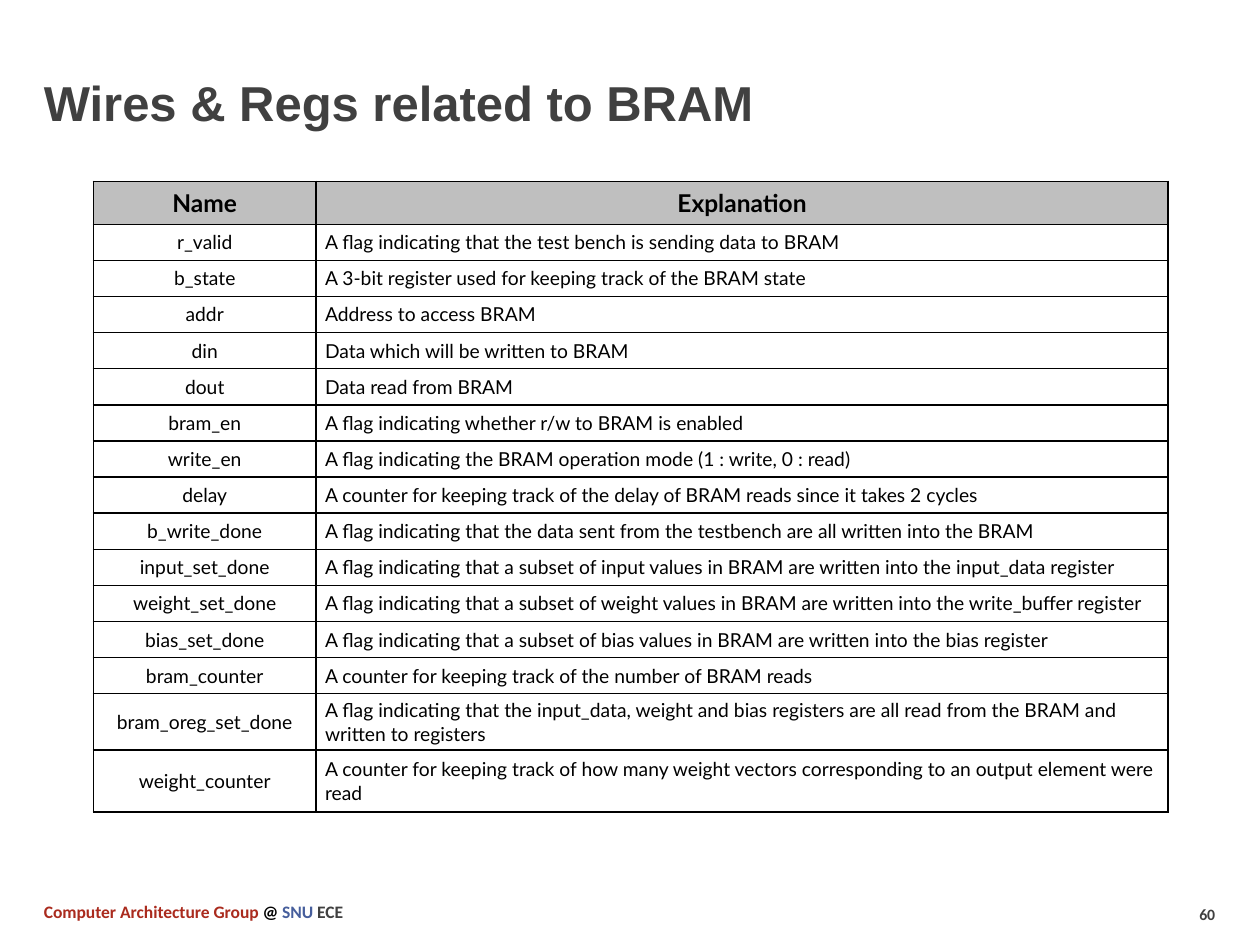
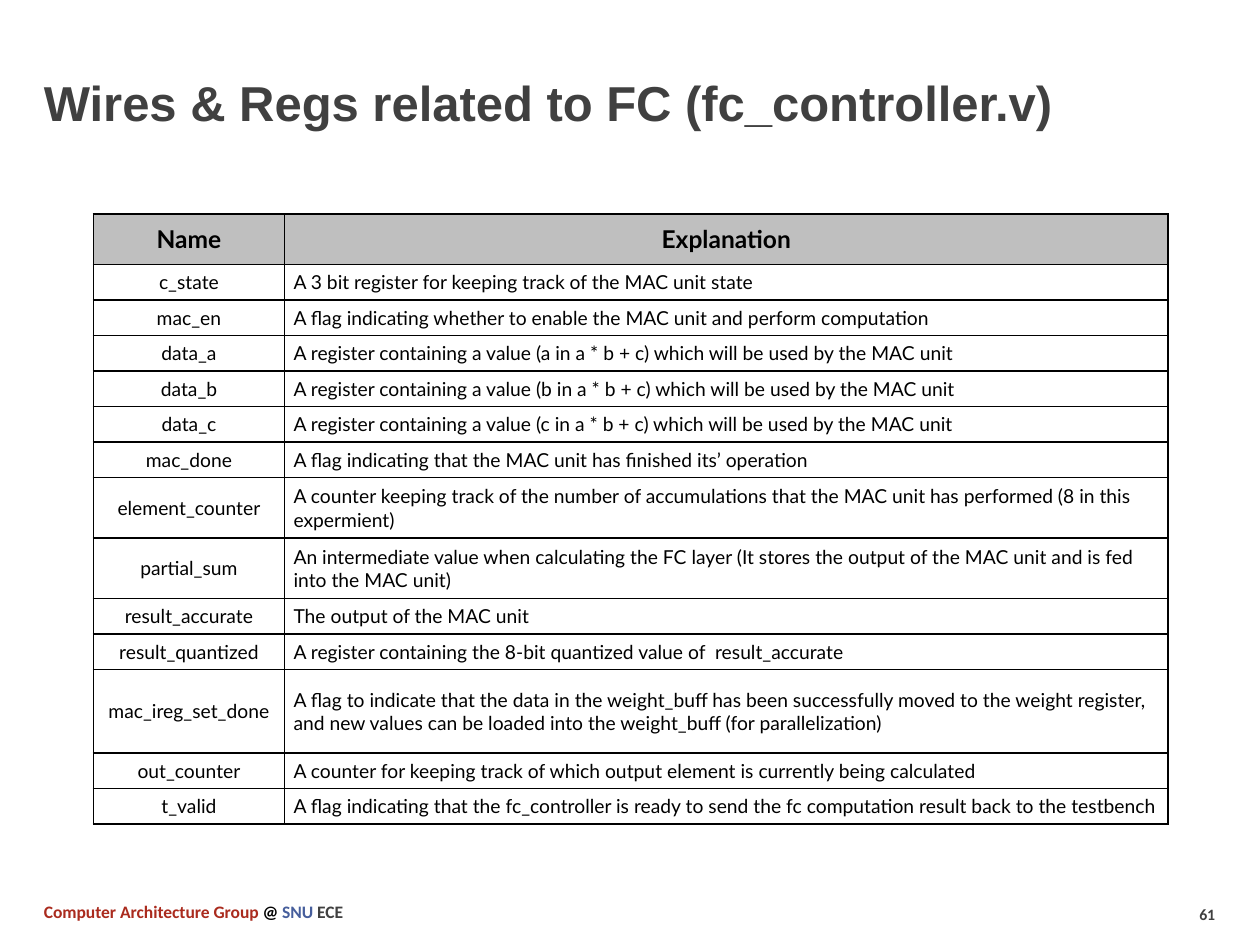
"""Builds two slides that list the wires and registers of the BRAM and FC controllers."""
from lxml.etree import SubElement
from pptx import Presentation
from pptx.dml.color import RGBColor as Rgb
from pptx.enum.text import MSO_ANCHOR as Anchor, PP_ALIGN as Align
from pptx.oxml.ns import qn
from pptx.util import Inches, Pt

COLORS = {
    "text": "404040",
    "black": "000000",
    "group": "AA2B1E",
    "school": "465E9C",
    "header": "BFBFBF",
}
FOOTER = [
    ("Computer Architecture Group ", "group"),
    ("@ ", "black"),
    ("SNU ", "school"),
    ("ECE", "text"),
]
TABLE_LEFT, TABLE_WIDTH = 0.74, 8.53

BRAM_ROWS = [
    ("Name", "Explanation"),
    ("r_valid", "A flag indicating that the test bench is sending data to BRAM"),
    ("b_state", "A 3-bit register used for keeping track of the BRAM state"),
    ("addr", "Address to access BRAM"),
    ("din", "Data which will be written to BRAM"),
    ("dout", "Data read from BRAM"),
    ("bram_en", "A flag indicating whether r/w to BRAM is enabled"),
    ("write_en", "A flag indicating the BRAM operation mode (1 : write, 0 : read)"),
    ("delay", "A counter for keeping track of the delay of BRAM reads since it takes 2 cycles"),
    ("b_write_done", "A flag indicating that the data sent from the testbench are all written into the BRAM"),
    ("input_set_done", "A flag indicating that a subset of input values in BRAM are written into the "
                       "input_data register"),
    ("weight_set_done", "A flag indicating that a subset of weight values in BRAM are written into the "
                        "write_buffer register"),
    ("bias_set_done", "A flag indicating that a subset of bias values in BRAM are written into the bias register"),
    ("bram_counter", "A counter for keeping track of the number of BRAM reads"),
    ("bram_oreg_set_done", "A flag indicating that the input_data, weight and bias registers are all read from "
                           "the BRAM and written to registers"),
    ("weight_counter", "A counter for keeping track of how many weight vectors corresponding to an output "
                       "element were read"),
]
FC_ROWS = [
    ("Name", "Explanation"),
    ("c_state", "A 3 bit register for keeping track of the MAC unit state"),
    ("mac_en", "A flag indicating whether to enable the MAC unit and perform computation"),
    *[(f"data_{letter}", f"A register containing a value ({letter} in a * b + c) which will be used by the MAC unit")
      for letter in "abc"],
    ("mac_done", "A flag indicating that the MAC unit has finished its’ operation"),
    ("element_counter", "A counter keeping track of the number of accumulations that the MAC unit has performed "
                        "(8 in this expermient)"),
    ("partial_sum", "An intermediate value when calculating the FC layer (It stores the output of the MAC unit "
                    "and is fed into the MAC unit)"),
    ("result_accurate", "The output of the MAC unit"),
    ("result_quantized", "A register containing the 8-bit quantized value of  result_accurate"),
    ("mac_ireg_set_done", "A flag to indicate that the data in the weight_buff has been successfully moved to the "
                          "weight register, and new values can be loaded into the weight_buff (for parallelization)"),
    ("out_counter", "A counter for keeping track of which output element is currently being calculated"),
    ("t_valid", "A flag indicating that the fc_controller is ready to send the fc computation result back to the "
                "testbench"),
]
PAGES = [
    {"number": "60", "title": "Wires & Regs related to BRAM", "rows": BRAM_ROWS, "top": 1.44,
     "height": 5, "name_width": 1.77, "fixed_heights": {0: 0.34, 14: 0.44, 15: 0.49}},
    {"number": "61", "title": "Wires & Regs related to FC (fc_controller.v)", "rows": FC_ROWS, "top": 1.7,
     "height": 4.84, "name_width": 1.52, "fixed_heights": {0: 0.4, 7: 0.48, 8: 0.48, 11: 0.66}},
]


def add_span(para, text, size, font, color, bold=True):
    span = para.add_run()
    span.text = text
    span.font.size = Pt(size)
    span.font.name = font
    span.font.bold = bold
    span.font.color.rgb = Rgb.from_string(COLORS[color])


def add_box(page, left, top, width, height, anchor=Anchor.TOP):
    box = page.shapes.add_textbox(Inches(left), Inches(top), Inches(width), Inches(height))
    box.text_frame.word_wrap = True
    box.text_frame.vertical_anchor = anchor
    return box.text_frame.paragraphs[0]


deck = Presentation()
deck.slide_width, deck.slide_height = Inches(10), Inches(7.5)

for content in PAGES:
    page = deck.slides.add_slide(deck.slide_layouts[6])
    add_span(add_box(page, 9.42, 7.13, 0.67, 0.25), content["number"], 9, "Calibri", "text")
    footer = add_box(page, 0.25, 7.1, 5.04, 0.27)
    for text, color in FOOTER:
        add_span(footer, text, 10, "Calibri", color)
    title = add_box(page, 0.25, 0.17, 9.25, 0.92, Anchor.BOTTOM)
    add_span(title, content["title"], 28, "Arial", "text")

    rows, fixed = content["rows"], content["fixed_heights"]
    table = page.shapes.add_table(len(rows), 2, Inches(TABLE_LEFT), Inches(content["top"]),
                                  Inches(TABLE_WIDTH), Inches(content["height"])).table
    table.first_row = table.horz_banding = False
    table.columns[0].width = Inches(content["name_width"])
    table.columns[1].width = Inches(TABLE_WIDTH - content["name_width"])
    shared_height = (content["height"] - sum(fixed.values())) / (len(rows) - len(fixed))

    for row_index, row in enumerate(rows):
        table.rows[row_index].height = Inches(fixed.get(row_index, shared_height))
        is_header = row_index == 0
        for column_index, text in enumerate(row):
            cell = table.cell(row_index, column_index)
            cell.vertical_anchor = Anchor.MIDDLE
            cell.margin_left = cell.margin_right = Inches(0.07)
            cell.margin_top = cell.margin_bottom = Inches(0.04)
            properties = cell._tc.get_or_add_tcPr()
            for side in ("lnL", "lnR", "lnT", "lnB"):
                border = SubElement(properties, qn(f"a:{side}"), w=str(Pt(1)))
                border_fill = SubElement(border, qn("a:solidFill"))
                SubElement(border_fill, qn("a:srgbClr"), val=COLORS["black"])
            if is_header:
                cell.fill.solid()
                cell.fill.fore_color.rgb = Rgb.from_string(COLORS["header"])
            else:
                cell.fill.background()
            para = cell.text_frame.paragraphs[0]
            para.alignment = Align.CENTER if is_header or column_index == 0 else Align.LEFT
            add_span(para, text, 14 if is_header else 11, "Lato", "black", is_header)

deck.save("out.pptx")
